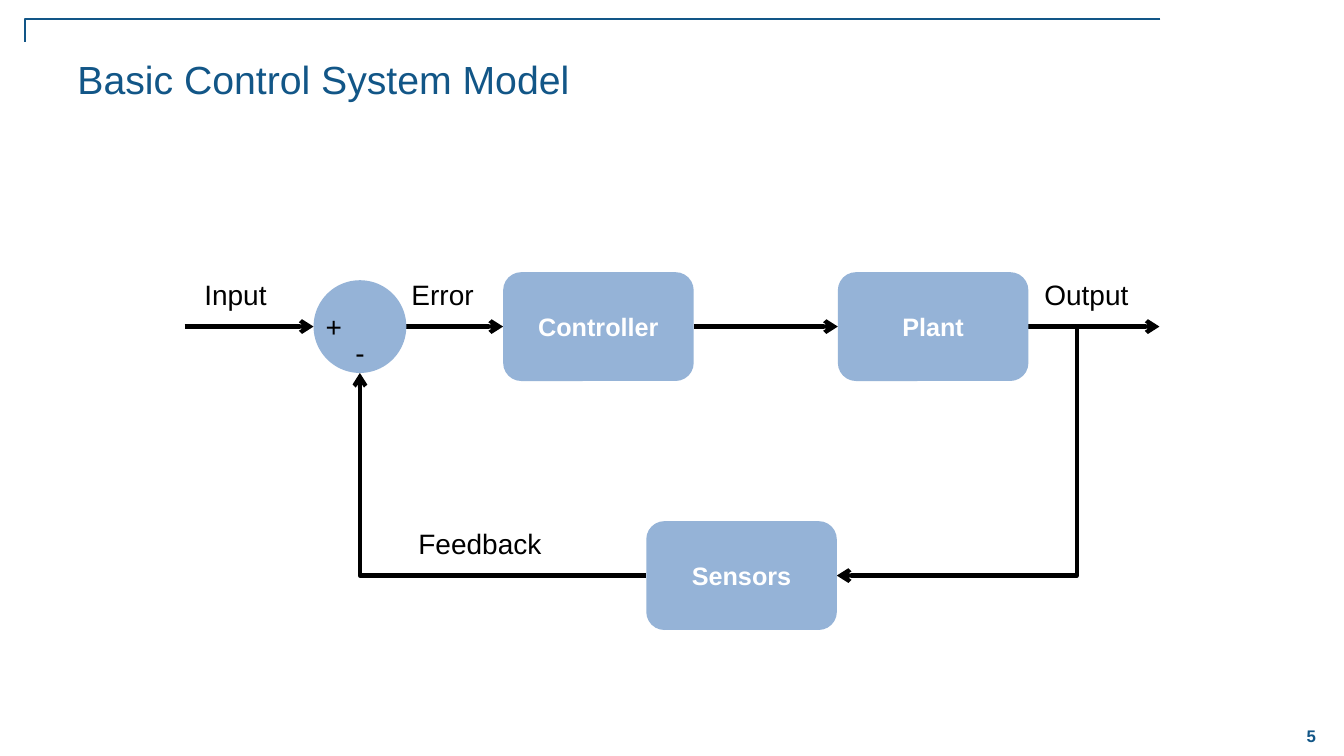
from dataclasses import dataclass

from lxml import etree
from pptx import Presentation
from pptx.dml.color import RGBColor
from pptx.enum.shapes import MSO_CONNECTOR, MSO_SHAPE
from pptx.enum.text import MSO_ANCHOR, PP_ALIGN
from pptx.oxml.ns import qn
from pptx.util import Inches, Pt

STRAIGHT, ELBOW = MSO_CONNECTOR.STRAIGHT, MSO_CONNECTOR.ELBOW
ROUNDED, ELLIPSE = MSO_SHAPE.ROUNDED_RECTANGLE, MSO_SHAPE.OVAL
LEFT, CENTER = PP_ALIGN.LEFT, PP_ALIGN.CENTER
TOP, MIDDLE = MSO_ANCHOR.TOP, MSO_ANCHOR.MIDDLE

NAVY, BLUE, BLACK, WHITE = "125687", "95B3D7", "000000", "FFFFFF"
FONT = "Arial"

# Rows, sizes and edges of the control loop
FORWARD_Y, FEEDBACK_Y = 3.24, 5.71
BLOCK_WIDTH, BLOCK_HEIGHT = 1.89, 1.08
SUM_LEFT, SUM_SIZE = 3.11, 0.92
SUM_RIGHT, SUM_CENTER = SUM_LEFT + SUM_SIZE, SUM_LEFT + SUM_SIZE / 2
CONTROLLER_LEFT, PLANT_LEFT, SENSORS_LEFT = 4.99, 8.31, 6.41
PLANT_RIGHT = PLANT_LEFT + BLOCK_WIDTH
SENSORS_RIGHT = SENSORS_LEFT + BLOCK_WIDTH
BRANCH_X = 10.68
LABEL_HEIGHT = 0.44
LABEL_RISE = 0.54


@dataclass
class Label:
    text: str
    left: float
    top: float
    width: float
    height: float = LABEL_HEIGHT
    size: int = 20
    color: str = BLACK
    bold: bool = False
    align: PP_ALIGN = CENTER
    anchor: MSO_ANCHOR = TOP


@dataclass
class Block:
    text: str
    left: float
    middle: float


@dataclass
class Link:
    start: tuple[float, float]
    end: tuple[float, float]
    bend: float | None = None  # share of the width at which the line turns
    color: str = BLACK
    weight: float = 3
    arrow: bool = True


def rgb(color: str) -> RGBColor:
    return RGBColor.from_string(color)


def write(shape, text: str, size: int, color: str, bold: bool,
          align: PP_ALIGN, anchor: MSO_ANCHOR) -> None:
    frame = shape.text_frame
    frame.word_wrap = True
    frame.vertical_anchor = anchor
    para = frame.paragraphs[0]
    para.alignment = align
    span = para.add_run()
    span.text = text
    for name, value in {"name": FONT, "size": Pt(size), "bold": bold}.items():
        setattr(span.font, name, value)
    span.font.color.rgb = rgb(color)


def draw_label(page, label: Label) -> None:
    box = page.shapes.add_textbox(Inches(label.left), Inches(label.top),
                                  Inches(label.width), Inches(label.height))
    write(box, label.text, label.size, label.color, label.bold, label.align, label.anchor)


def draw_shape(page, kind: MSO_SHAPE, left: float, middle: float, width: float, height: float):
    shape = page.shapes.add_shape(kind, Inches(left), Inches(middle - height / 2),
                                  Inches(width), Inches(height))
    shape.shadow.inherit = False
    shape.fill.solid()
    shape.fill.fore_color.rgb = rgb(BLUE)
    shape.line.fill.background()
    return shape


def draw_block(page, block: Block) -> None:
    shape = draw_shape(page, ROUNDED, block.left, block.middle, BLOCK_WIDTH, BLOCK_HEIGHT)
    write(shape, block.text, 18, WHITE, True, CENTER, MIDDLE)


def draw_link(page, link: Link) -> None:
    kind = STRAIGHT if link.bend is None else ELBOW
    points = [Inches(value) for value in link.start + link.end]
    line = page.shapes.add_connector(kind, *points)
    line.line.color.rgb = rgb(link.color)
    line.line.width = Pt(link.weight)
    properties = line._element.spPr
    etree.SubElement(properties, qn("a:effectLst"))
    if link.arrow:
        etree.SubElement(properties.find(qn("a:ln")), qn("a:tailEnd"), type="arrow")
    geometry = properties.find(qn("a:prstGeom"))
    if link.bend == 1:  # a single corner, above or below the end point
        geometry.set("prst", "bentConnector2")
    elif link.bend is not None:
        guide = etree.SubElement(geometry.find(qn("a:avLst")), qn("a:gd"), name="adj1")
        guide.set("fmla", f"val {round(link.bend * 100000)}")


BLOCKS = [
    Block("Controller", CONTROLLER_LEFT, FORWARD_Y),
    Block("Plant", PLANT_LEFT, FORWARD_Y),
    Block("Sensors", SENSORS_LEFT, FEEDBACK_Y),
]
FORWARD_SPANS = [
    (1.83, SUM_LEFT),
    (SUM_RIGHT, CONTROLLER_LEFT),
    (CONTROLLER_LEFT + BLOCK_WIDTH, PLANT_LEFT),
    (PLANT_RIGHT, 11.5),
]
LINKS = [Link((start, FORWARD_Y), (end, FORWARD_Y)) for start, end in FORWARD_SPANS] + [
    Link((PLANT_RIGHT, FORWARD_Y), (SENSORS_RIGHT, FEEDBACK_Y),
         bend=(PLANT_RIGHT - BRANCH_X) / (PLANT_RIGHT - SENSORS_RIGHT)),
    Link((SENSORS_LEFT, FEEDBACK_Y), (SUM_CENTER, FORWARD_Y + SUM_SIZE / 2), bend=1),
]
LABELS = [
    Label("+", 3.13, 3.02, 0.42, align=LEFT),
    Label("-", 3.36, 3.28, 0.42),
    Label("Input", 1.79, FORWARD_Y - LABEL_RISE, 1.09),
    Label("Error", 3.57, FORWARD_Y - LABEL_RISE, 1.64),
    Label("Output", 10.23, FORWARD_Y - LABEL_RISE, 1.09),
    Label("Feedback", 3.94, FEEDBACK_Y - LABEL_RISE, 1.64),
]

deck = Presentation()
deck.slide_width, deck.slide_height = Inches(13.33), Inches(7.5)
page = deck.slides.add_slide(deck.slide_layouts[6])

# Page frame, number and title
draw_label(page, Label("5", 12.67, 7.09, 0.67, 0.42, 12, NAVY, True, anchor=MIDDLE))
draw_link(page, Link((11.51, 0.19), (0.25, 0.42), 1, NAVY, 1, arrow=False))
draw_label(page, Label("Basic Control System Model", 0.67, 0.5, 11.78, 1.08, 28, NAVY, align=LEFT))

# Control loop
for link in LINKS:
    draw_link(page, link)
for block in BLOCKS:
    draw_block(page, block)
draw_shape(page, ELLIPSE, SUM_LEFT, FORWARD_Y, SUM_SIZE, SUM_SIZE)
for label in LABELS:
    draw_label(page, label)

deck.save("out.pptx")
